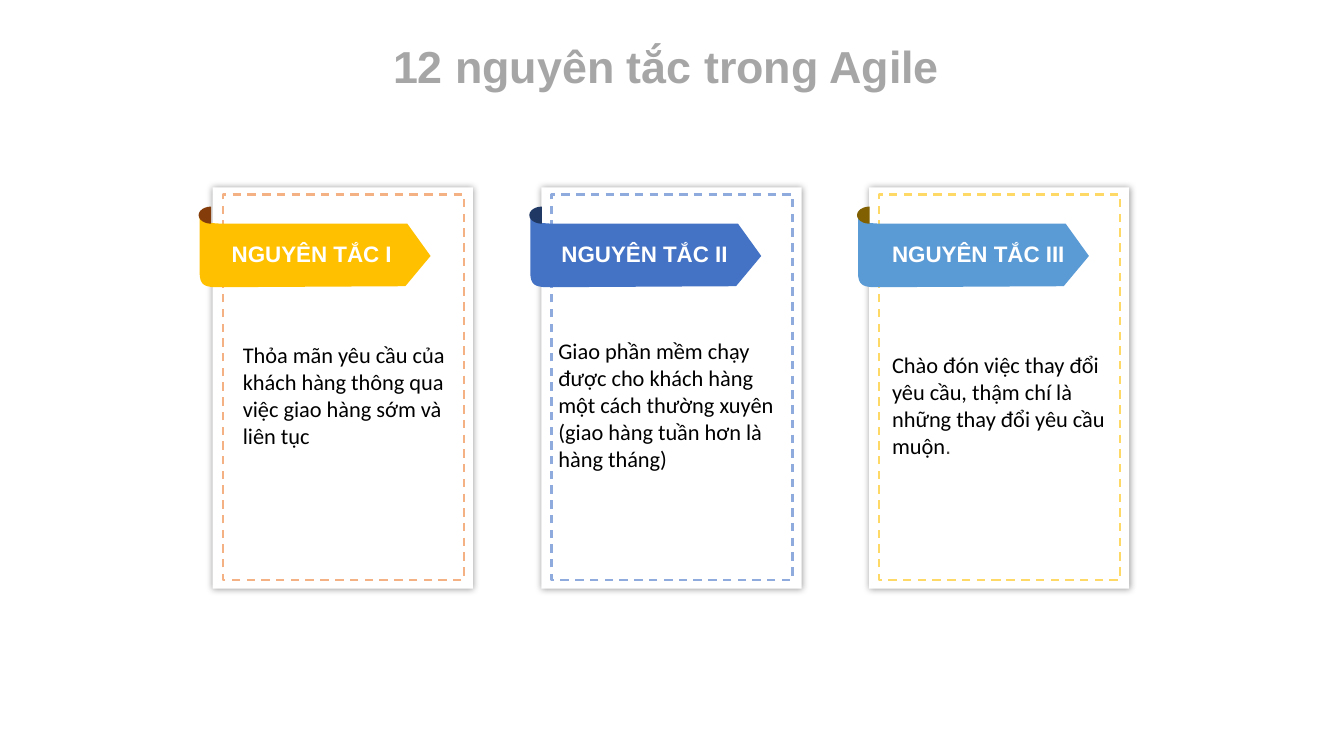
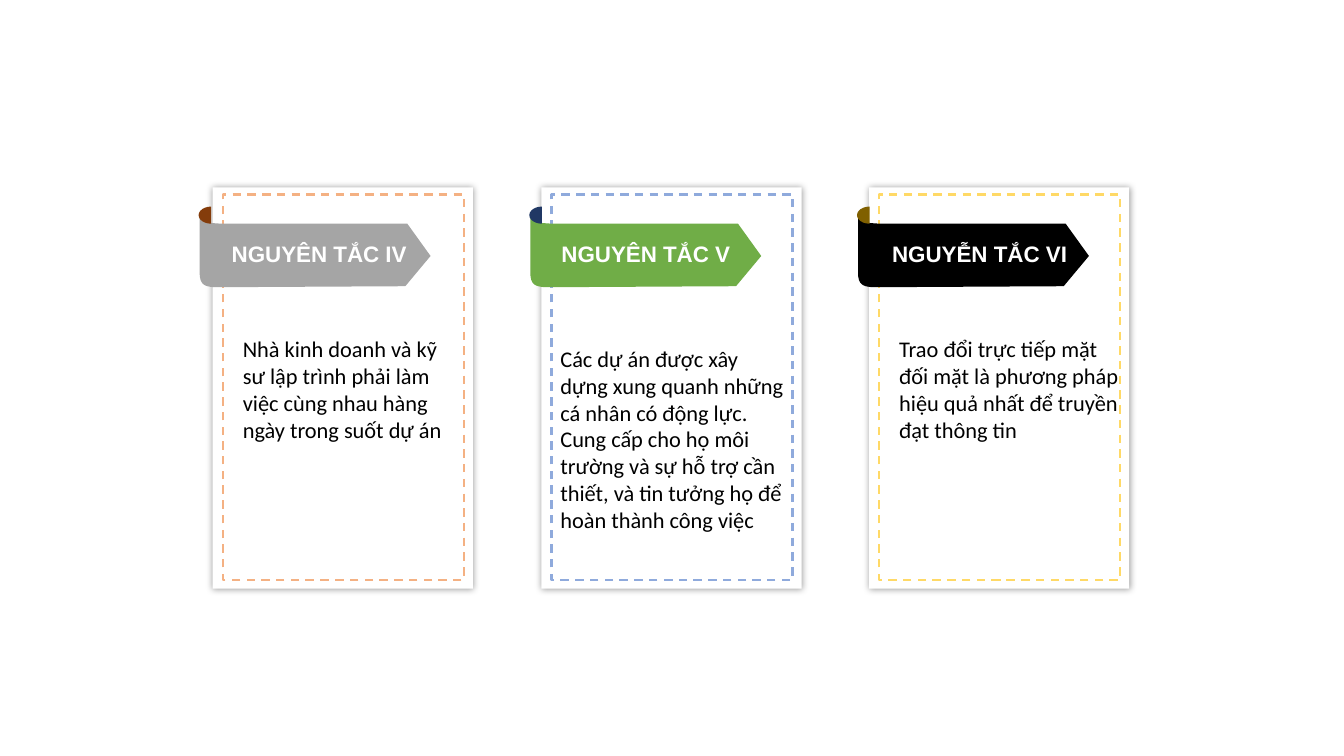
"""Build two slides of Agile principle cards, each with a folded ribbon."""
from dataclasses import dataclass

from lxml import etree
from pptx import Presentation
from pptx import util as u
from pptx.dml.color import RGBColor
from pptx.enum import dml, shapes, text
from pptx.oxml import ns


@dataclass(frozen=True)
class Theme:
    heading_font: str = "Arial"
    body_font: str = "Calibri"
    title_size: int = 32
    text_size: int = 16
    title: str = "A6A6A6"
    white: str = "FFFFFF"
    black: str = "000000"
    full_stop: str = "4A4644"
    border_width: float = 1.5
    shadow_blur: int = 5
    shadow_alpha: int = 40


@dataclass(frozen=True)
class Column:
    card: float
    ribbon: float
    label: float
    border: str
    fold: str


@dataclass(frozen=True)
class Principle:
    label: str
    ribbon: str
    body: str
    box: tuple
    ending: str = ""


COLUMNS = (
    Column(2.11, 1.98, 2.2, "F4B183", "843C0B"),
    Column(5.37, 5.26, 5.47, "8FAADC", "203864"),
    Column(8.62, 8.51, 8.75, "FFD966", "806000"),
)

SLIDES = (
    ("12 nguyên tắc trong Agile", (
        Principle("NGUYÊN TẮC I", "FFC000",
                  "Thỏa mãn yêu cầu của khách hàng thông qua việc giao hàng sớm và liên tục",
                  (2.31, 3.33, 2.44, 1.18)),
        Principle("NGUYÊN TẮC II", "4472C4",
                  "Giao phần mềm chạy được cho khách hàng một cách thường xuyên "
                  "(giao hàng tuần hơn là hàng tháng)",
                  (5.44, 3.29, 2.44, 1.45)),
        Principle("NGUYÊN TẮC III", "5B9BD5",
                  "Chào đón việc thay đổi yêu cầu, thậm chí là những thay đổi yêu cầu muộn",
                  (8.75, 3.43, 2.44, 1.18), "."),
    )),
    (None, (
        Principle("NGUYÊN TẮC IV", "A5A5A5",
                  "Nhà kinh doanh và kỹ sư lập trình phải làm việc cùng nhau hàng "
                  "ngày trong suốt dự án",
                  (2.31, 3.27, 2.28, 1.18)),
        Principle("NGUYÊN TẮC V", "70AD47",
                  "Các dự án được xây dựng xung quanh những cá nhân có động lực. "
                  "Cung cấp cho họ môi trường và sự hỗ trợ cần thiết, và tin "
                  "tưởng họ để hoàn thành công việc",
                  (5.46, 3.23, 2.44, 2.25)),
        Principle("NGUYỄN TẮC VI", "000000",
                  "Trao đổi trực tiếp mặt đối mặt là phương pháp hiệu quả nhất "
                  "để truyền đạt thông tin",
                  (8.82, 3.27, 2.44, 1.18)),
    )),
)


def curve(start, first, second, end, steps=8):
    """Return points along a cubic curve, without its start."""
    points = []
    for step in range(1, steps + 1):
        t = step / steps
        weights = ((1 - t) ** 3, 3 * t * (1 - t) ** 2, 3 * t * t * (1 - t), t ** 3)
        points.append(tuple(
            sum(weight * value for weight, value in zip(weights, values))
            for values in zip(start, first, second, end)))
    return points


RIBBON = [
    (0.14, 0.74), (2.04, 0.73), (2.29, 0.43), (2.06, 0.11), (0.21, 0.11),
    *curve((0.21, 0.11), (0.13, 0.1), (0.02, 0.12), (0, 0)),
    (0, 0.59),
    *curve((0, 0.59), (0, 0.72), (0.05, 0.73), (0.14, 0.74)),
]


class Deck:
    """Hold the style and the current slide."""

    def __init__(self, theme):
        self.theme = theme
        self.presentation = Presentation()
        self.presentation.slide_width = u.Inches(13.33)
        self.presentation.slide_height = u.Inches(7.5)
        self.slide = None

    def add_slide(self, title):
        layout = self.presentation.slide_layouts[5 if title else 6]
        self.slide = self.presentation.slides.add_slide(layout)
        if title:
            shape = self.slide.shapes.title
            shape.left, shape.top, shape.width, shape.height = map(
                u.Inches, (3.78, 0.33, 5.66, 0.64))
            self.set_text(shape, title, self.theme.heading_font, self.theme.title_size,
                          self.theme.title, bold=True, wrap=False,
                          align=text.PP_ALIGN.CENTER)

    def set_text(self, shape, words, font, size, color, bold=False, wrap=True,
                 align=text.PP_ALIGN.LEFT):
        frame = shape.text_frame
        frame.word_wrap = wrap
        frame.auto_size = text.MSO_AUTO_SIZE.NONE
        frame.vertical_anchor = text.MSO_ANCHOR.MIDDLE
        paragraph = frame.paragraphs[0]
        paragraph.alignment = align
        paragraph.font.name = font
        paragraph.font.size = u.Pt(size)
        paragraph.font.bold = bold
        paragraph.font.color.rgb = RGBColor.from_string(color)
        paragraph.add_run().text = words
        return paragraph

    def paint(self, shape, fill=None, line=None):
        shape.shadow.inherit = False
        if fill:
            shape.fill.solid()
            shape.fill.fore_color.rgb = RGBColor.from_string(fill)
        else:
            shape.fill.background()
        if line:
            shape.line.color.rgb = RGBColor.from_string(line)
            shape.line.width = u.Pt(self.theme.border_width)
            shape.line.dash_style = dml.MSO_LINE.DASH
        else:
            shape.line.fill.background()

    def add_preset(self, kind, box, fill=None, line=None):
        shape = self.slide.shapes.add_shape(kind, *map(u.Inches, box))
        self.paint(shape, fill, line)
        return shape

    def add_shadow(self, shape):
        effects = shape._element.spPr.find(ns.qn("a:effectLst"))
        shadow = etree.SubElement(effects, ns.qn("a:outerShdw"),
                                  blurRad=str(u.Pt(self.theme.shadow_blur)),
                                  dist="0", algn="ctr", rotWithShape="0")
        color = etree.SubElement(shadow, ns.qn("a:srgbClr"), val=self.theme.black)
        etree.SubElement(color, ns.qn("a:alpha"),
                         val=str(self.theme.shadow_alpha * 1000))

    def add_card(self, column):
        rectangle = shapes.MSO_SHAPE.RECTANGLE
        card = self.add_preset(rectangle, (column.card, 1.86, 2.58, 3.98),
                               fill=self.theme.white)
        self.add_shadow(card)
        self.add_preset(rectangle, (column.card + 0.1, 1.93, 2.39, 3.82),
                        line=column.border)

    def add_ribbon(self, column, color):
        points = [(u.Inches(column.ribbon + x), u.Inches(2.11 + y)) for x, y in RIBBON]
        builder = self.slide.shapes.build_freeform(*points[0])
        builder.add_line_segments(points[1:], close=True)
        self.paint(builder.convert_to_shape(), color)
        fold = self.add_preset(shapes.MSO_SHAPE.PIE,
                               (column.ribbon - 0.01, 2.05, 0.25, 0.17), column.fold)
        fold.adjustments[0] = 54.3
        fold.adjustments[1] = 162

    def add_text(self, box, words, font, color, **style):
        shape = self.slide.shapes.add_textbox(*map(u.Inches, box))
        return self.set_text(shape, words, font, self.theme.text_size, color, **style)

    def add_principle(self, column, principle):
        theme = self.theme
        self.add_card(column)
        self.add_ribbon(column, principle.ribbon)
        paragraph = self.add_text(principle.box, principle.body,
                                  theme.body_font, theme.black)
        if principle.ending:
            run = paragraph.add_run()
            run.text = principle.ending
            run.font.name = theme.heading_font
            run.font.color.rgb = RGBColor.from_string(theme.full_stop)
        self.add_text((column.label, 2.33, 1.93, 0.37), principle.label,
                      theme.heading_font, theme.white, bold=True, wrap=False)


def main():
    deck = Deck(Theme())
    for title, principles in SLIDES:
        deck.add_slide(title)
        for column, principle in zip(COLUMNS, principles):
            deck.add_principle(column, principle)
    deck.presentation.save("out.pptx")


if __name__ == "__main__":
    main()
